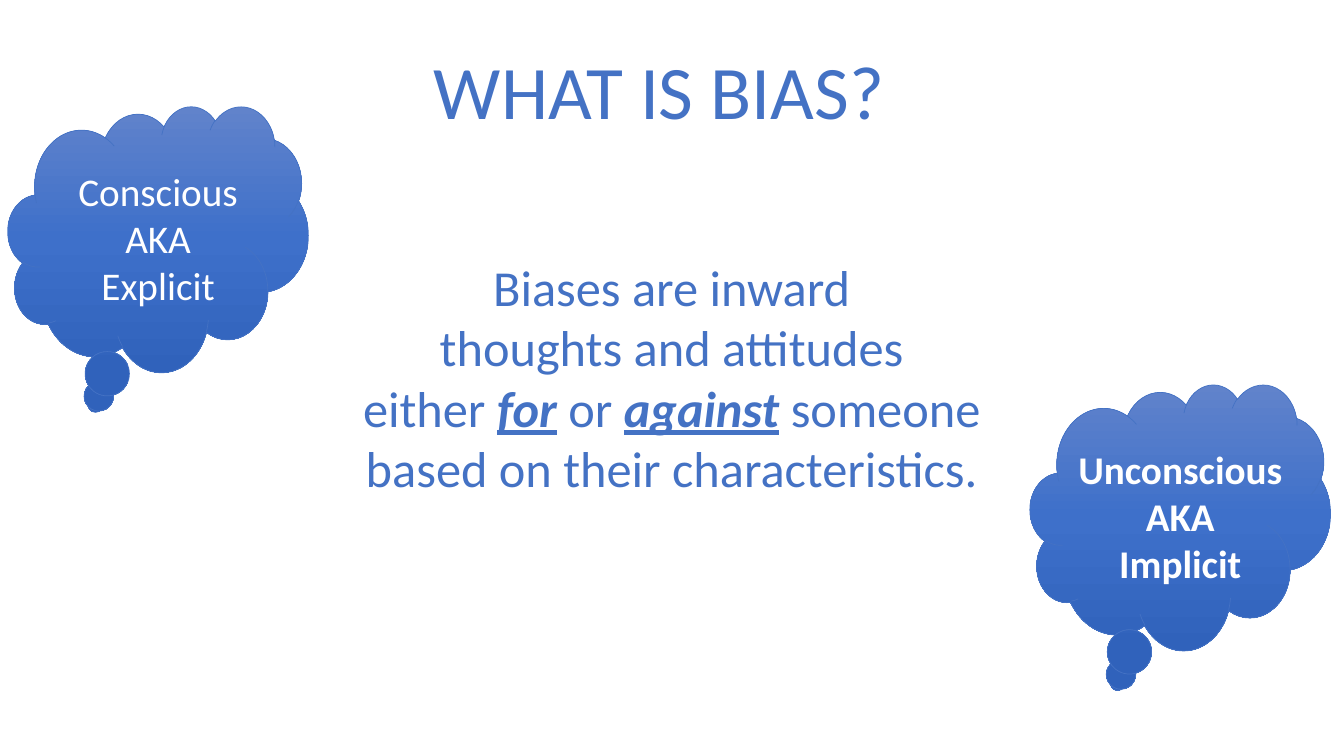
from copy import deepcopy
from pptx import Presentation
from pptx.dml.color import RGBColor
from pptx.enum.shapes import MSO_SHAPE
from pptx.enum.text import MSO_ANCHOR, MSO_AUTO_SIZE, PP_ALIGN
from pptx.oxml.ns import qn
from pptx.util import Cm, Pt

CLOUD = MSO_SHAPE.CLOUD_CALLOUT
CENTER = PP_ALIGN.CENTER
TOP = MSO_ANCHOR.TOP
NO_FIT = MSO_AUTO_SIZE.NONE


def color(code):
    return RGBColor.from_string(code)


class Deck:
    font = "Calibri"
    blue = "4472C4"
    white = "FFFFFF"
    shades = ("6183CB", "3E70CA", "3062BB")

    def __init__(self):
        self.prs = Presentation()
        self.prs.slide_width = Cm(33.87)
        self.prs.slide_height = Cm(19.05)
        self.slide = self.prs.slides.add_slide(self.prs.slide_layouts[5])

    def style(self, shape, lines, size, ink, bold=False, marks=()):
        frame = shape.text_frame
        frame.text = "\n".join(lines)
        frame.word_wrap = True
        frame.auto_size = NO_FIT
        frame.vertical_anchor = TOP
        for para in frame.paragraphs:
            para.alignment = CENTER
            words = para.text
            if any(f" {mark} " in words for mark in marks):
                self.divide(para, words, marks)
            for run in para.runs:
                font = run.font
                font.name = self.font
                font.size = Pt(size)
                font.color.rgb = color(ink)
                stress = run.text in marks
                font.bold = bold or stress
                font.italic = font.underline = stress

    def divide(self, para, words, marks):
        para.text = ""
        for mark in marks:
            head, _, words = words.partition(mark)
            for part in (head, mark):
                para.add_run().text = part
        para.add_run().text = words

    def title(self, text, left, top, width, height):
        shape = self.slide.shapes.title
        shape.left, shape.top = Cm(left), Cm(top)
        shape.width, shape.height = Cm(width), Cm(height)
        self.style(shape, [text], 54, self.blue)

    def text(self, lines, left, top, width, height, size, ink, **looks):
        box = self.slide.shapes.add_textbox(Cm(left), Cm(top), Cm(width), Cm(height))
        self.style(box, lines, size, ink, **looks)

    def cloud(self, lines, left, top, bold=False):
        wide, high, label = 7.57, 6.7, 7.11
        shape = self.slide.shapes.add_shape(CLOUD, Cm(left), Cm(top), Cm(wide), Cm(high))
        shape.shadow.inherit = False
        shape.line.color.rgb = color(self.blue)
        shape.line.width = Pt(0.5)
        fill = shape.fill
        fill.gradient()
        fill.gradient_angle = 270
        stops = next(shape._element.iter(qn("a:gsLst")))
        stops.append(deepcopy(stops[-1]))
        for place, (stop, shade) in enumerate(zip(fill.gradient_stops, self.shades)):
            stop.position = place / 2
            stop.color.rgb = color(shade)
        self.text(lines, left + (wide - label) / 2, top + 1.42, label, 3.84,
                  28, self.white, bold=bold)


def main():
    deck = Deck()
    deck.title("WHAT IS BIAS?", 10.62, 0.97, 11.99, 2.57)
    deck.text(["Biases are inward", "thoughts and attitudes",
               "either for or against someone", "based on their characteristics."],
              6.93, 6.32, 20, 6.4, 36, deck.blue, marks=("for", "against"))
    deck.cloud(["Conscious", "AKA", "Explicit"], 0.2, 2.67)
    deck.cloud(["Unconscious", "AKA", "Implicit"], 25.96, 9.68, bold=True)
    deck.prs.save("out.pptx")


if __name__ == "__main__":
    main()
